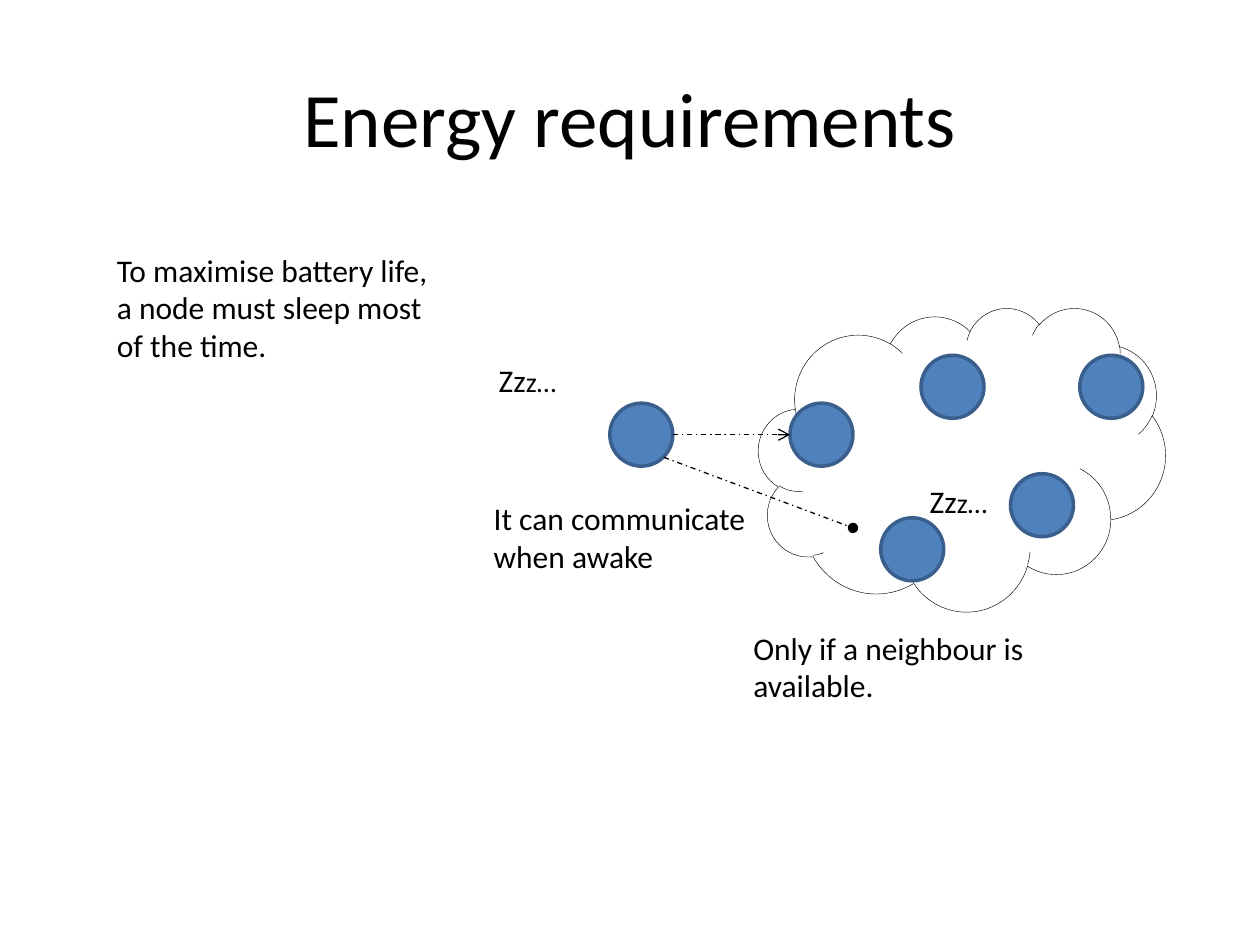
from lxml import etree
from pptx import Presentation
from pptx.dml.color import RGBColor
from pptx.enum.dml import MSO_LINE
from pptx.enum.shapes import MSO_CONNECTOR, MSO_SHAPE
from pptx.enum.text import MSO_ANCHOR, MSO_AUTO_SIZE, PP_ALIGN
from pptx.oxml.ns import qn
from pptx.util import Pt

PX = 9144  # EMU per px, 100 px to the inch
NODE_SIZE = 50
FONT = "Calibri"
BLACK = RGBColor(0x00, 0x00, 0x00)
WHITE = RGBColor(0xFF, 0xFF, 0xFF)
NODE_BLUE = RGBColor(0x4F, 0x81, 0xBD)
NODE_EDGE = RGBColor(0x3A, 0x5F, 0x8C)
CLOUD, NODE = MSO_SHAPE.CLOUD, MSO_SHAPE.FLOWCHART_CONNECTOR
STRAIGHT = MSO_CONNECTOR.STRAIGHT
DASH_DOT = MSO_LINE.DASH_DOT
MIDDLE = MSO_ANCHOR.MIDDLE
CENTER = PP_ALIGN.CENTER
GROW = MSO_AUTO_SIZE.SHAPE_TO_FIT_TEXT


def emu(*lengths):
    return [length * PX for length in lengths]


def add_runs(paragraph, runs):
    for text, size in runs:
        run = paragraph.add_run()
        run.text = text
        run.font.name = FONT
        run.font.size = Pt(size)
        run.font.color.rgb = BLACK


def add_title(slide, box, text):
    title = slide.shapes.title
    title.left, title.top, title.width, title.height = emu(*box)
    title.text_frame.vertical_anchor = MIDDLE
    paragraph = title.text_frame.paragraphs[0]
    paragraph.alignment = CENTER
    add_runs(paragraph, [(text, 44)])


def add_caption(slide, box, runs, wrap=True):
    frame = slide.shapes.add_textbox(*emu(*box)).text_frame
    frame.word_wrap = wrap
    frame.auto_size = GROW
    add_runs(frame.paragraphs[0], runs)


def add_snore(slide, left, top):
    add_caption(slide, (left, top, 66, 40), [("Zz", 18), ("z…", 16)], wrap=False)


def add_outline(slide, kind, box, fill, edge, weight):
    outline = slide.shapes.add_shape(kind, *emu(*box))
    outline.shadow.inherit = False
    outline.fill.solid()
    outline.fill.fore_color.rgb = fill
    outline.line.color.rgb = edge
    outline.line.width = Pt(weight)


def add_node(slide, left, top):
    box = (left, top, NODE_SIZE, NODE_SIZE)
    add_outline(slide, NODE, box, NODE_BLUE, NODE_EDGE, 2)


def add_network(slide, box, node_offsets):
    """Draw the cloud with its nodes, offset from the cloud's corner."""
    left, top = box[:2]
    add_outline(slide, CLOUD, box, WHITE, BLACK, 0.25)
    for x, y in node_offsets:
        add_node(slide, left + x, top + y)


def add_radio_link(slide, start, end, tip):
    link = slide.shapes.add_connector(STRAIGHT, *emu(*start, *end))
    link.line.color.rgb = BLACK
    link.line.width = Pt(0.75)
    link.line.dash_style = DASH_DOT
    etree.SubElement(link.line._get_or_add_ln(), qn("a:tailEnd"), type=tip)
    etree.SubElement(link._element.spPr, qn("a:effectLst"))


def main():
    presentation = Presentation()
    presentation.slide_width, presentation.slide_height = emu(1000, 750)
    slide = presentation.slides.add_slide(presentation.slide_layouts[5])

    add_title(slide, (50, 30, 900, 125), "Energy requirements")
    add_node(slide, 484, 320)
    add_network(slide, (602, 244, 323, 241),
                [(129, 38), (97, 167), (200, 132), (25, 76), (255, 38)])

    add_radio_link(slide, (534, 345), (627, 345), "arrow")
    add_radio_link(slide, (527, 363), (677, 419), "oval")

    add_snore(slide, 386, 282)
    add_snore(slide, 728, 378)
    captions = [
        ((83, 194, 276, 101),
         "To maximise battery life, a node must sleep most of the time."),
        ((382, 391, 229, 71), "It can communicate when awake"),
        ((588, 494, 271, 71), "Only if a neighbour is available."),
    ]
    for box, text in captions:
        add_caption(slide, box, [(text, 18)])

    presentation.save("out.pptx")


if __name__ == "__main__":
    main()
